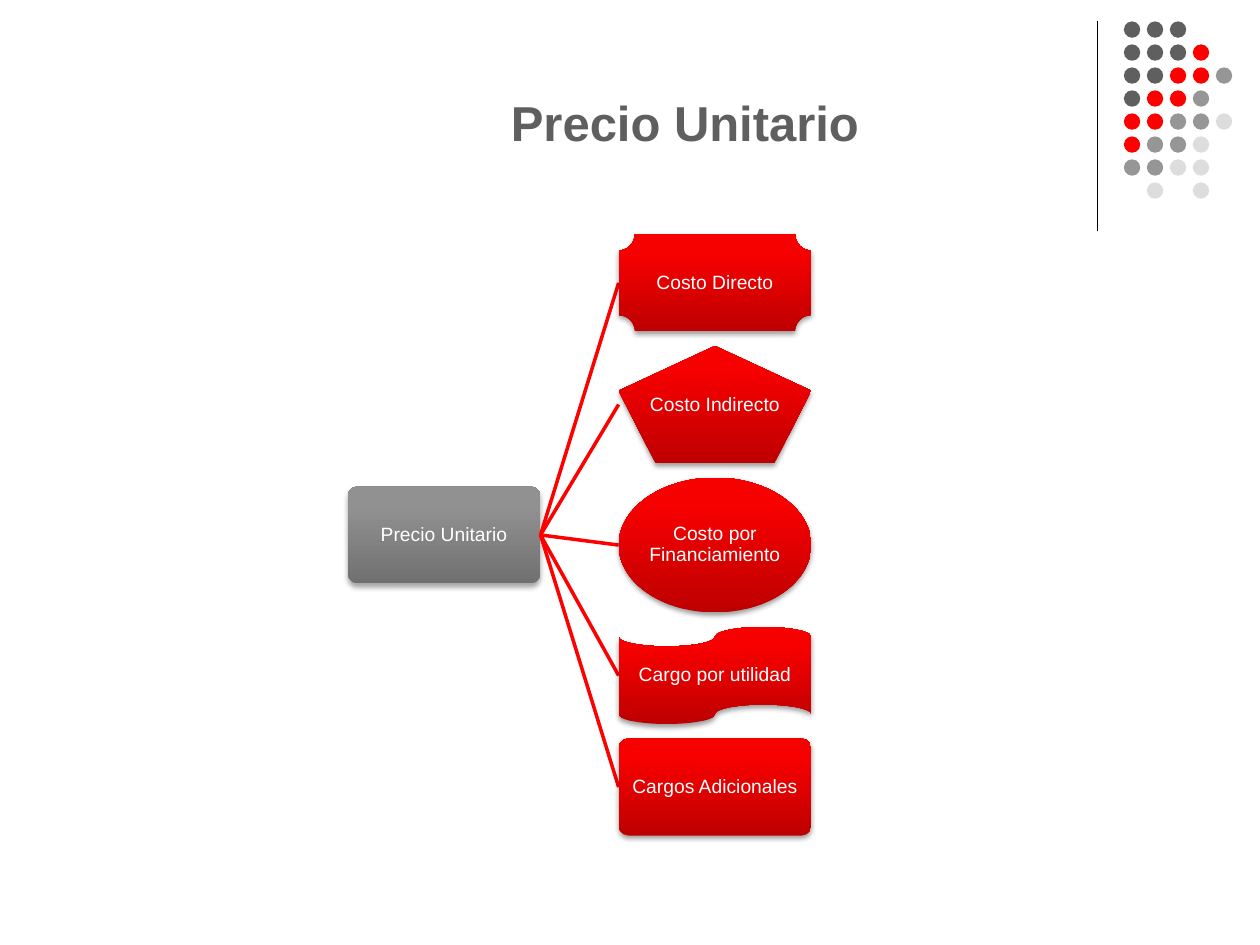
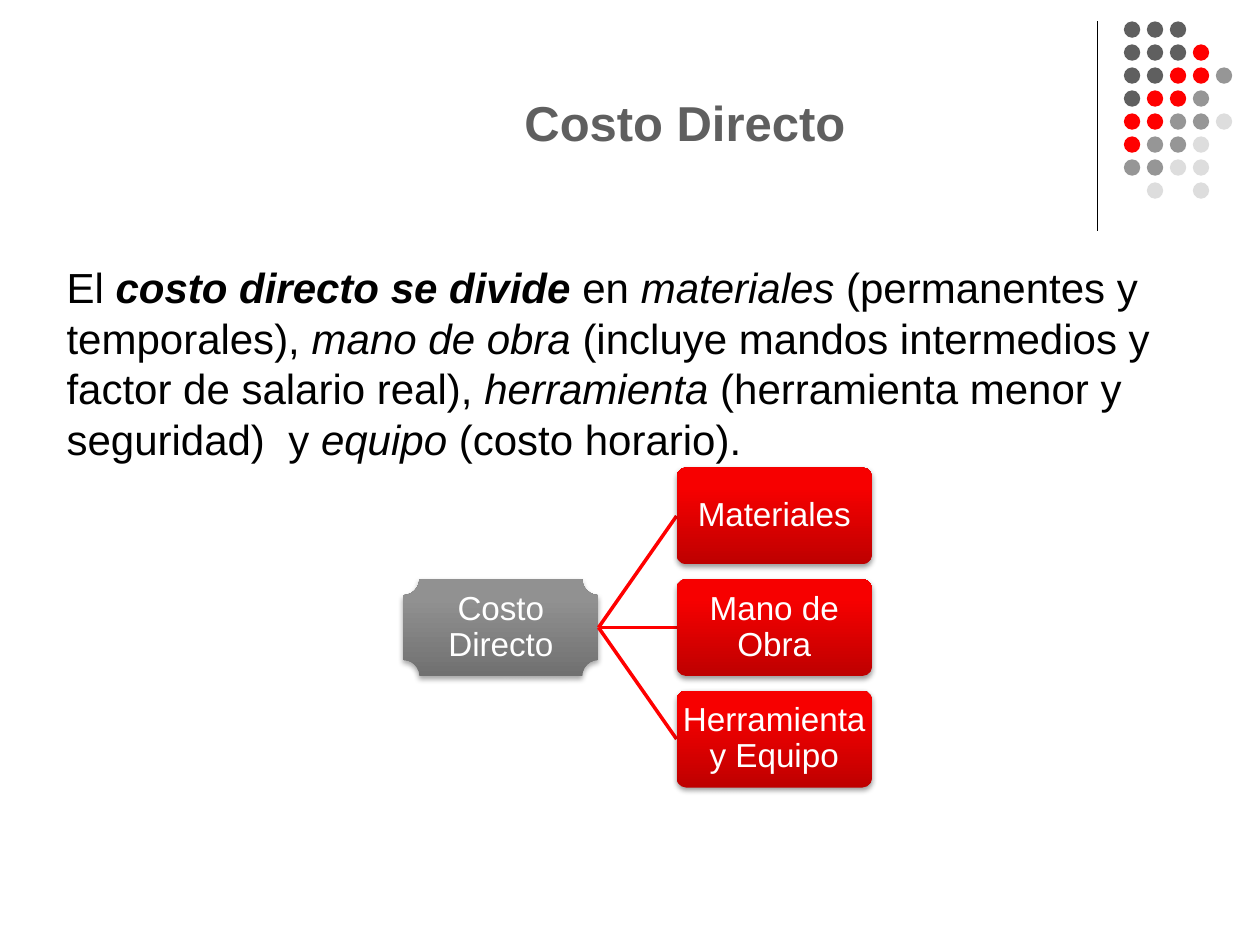
"""Build two slides that break a unit price down into its cost components."""
from dataclasses import dataclass

from lxml import etree
from pptx import Presentation
from pptx import util as u
from pptx.dml.color import RGBColor
from pptx.enum import shapes, text
from pptx.oxml.ns import qn


@dataclass(frozen=True)
class Theme:
    font: str = "Arial"
    black: str = "000000"
    white: str = "FFFFFF"
    dark: str = "5F5F5F"
    red: str = "FF0000"
    gray: str = "969696"
    pale: str = "DDDDDD"
    root_gradient: tuple = ("707070", "919191")
    branch_gradient: tuple = ("BE0000", "F70000")
    title_size: int = 28
    body_size: int = 24
    rule_width: float = 0.75
    link_width: int = 2


@dataclass(frozen=True)
class Node:
    label: str
    kind: shapes.MSO_SHAPE = shapes.MSO_SHAPE.ROUNDED_RECTANGLE
    height: float = 0.77
    wrap: bool = True
    bottom_inset: float = 0.01
    glued: bool = True


THEME = Theme()
NODE_HEIGHT = 0.77
NODE_GAP = 0.15 * NODE_HEIGHT
LINK_SPAN = 0.62
DOT_SIZE = 0.13
DOT_PITCH = 0.73 / 4
DOT_COLORS = {"D": THEME.dark, "R": THEME.red, "G": THEME.gray, "P": THEME.pale}
DOT_ROWS = ("DDD", "DDDR", "DDRRG", "DRRG", "RRGGP", "RGGP", "GGPP", ".P.P")

BODY_RUNS = (
    ("El ", ""),
    ("costo directo se divide", "bi"),
    (" en ", ""),
    ("materiales", "i"),
    (" (permanentes y temporales), ", ""),
    ("mano de obra", "i"),
    (" (incluye mandos intermedios y factor de salario real), ", ""),
    ("herramienta", "i"),
    (" (herramienta menor y seguridad)  y ", ""),
    ("equipo", "i"),
    (" (costo horario).", ""),
)


def style_font(font, size, color, bold=False, italic=False):
    """Apply the theme typeface with a size, colour and emphasis."""
    font.name = THEME.font
    font.size = u.Pt(size)
    font.color.rgb = RGBColor.from_string(color)
    font.bold = bold
    font.italic = italic


def add_line(slide, start, end, color, width):
    """Draw a straight connector without a shadow."""
    points = [u.Inches(value) for value in (*start, *end)]
    line = slide.shapes.add_connector(shapes.MSO_CONNECTOR.STRAIGHT, *points)
    line.line.color.rgb = RGBColor.from_string(color)
    line.line.width = u.Pt(width)
    etree.SubElement(line._element.spPr, qn("a:effectLst"))
    return line


def add_dot_pattern(slide):
    """Draw the coloured dots of the top right corner."""
    for row, marks in enumerate(DOT_ROWS):
        for column, mark in enumerate(marks):
            if mark not in DOT_COLORS:
                continue
            dot = slide.shapes.add_shape(
                shapes.MSO_SHAPE.OVAL,
                u.Inches(8.92 + column * DOT_PITCH),
                u.Inches(0.17 + row * DOT_PITCH),
                u.Inches(DOT_SIZE),
                u.Inches(DOT_SIZE),
            )
            dot.shadow.inherit = False
            dot.fill.solid()
            dot.fill.fore_color.rgb = RGBColor.from_string(DOT_COLORS[mark])
            dot.line.fill.background()


def add_text_box(slide, left, top, width, height):
    """Add a wrapping text box and return its text frame."""
    box = slide.shapes.add_textbox(*map(u.Inches, (left, top, width, height)))
    box.text_frame.word_wrap = True
    return box.text_frame


def add_title(slide, title):
    """Add the centred slide title."""
    frame = add_text_box(slide, 2.24, 0.13, 6.39, 1.67)
    frame.vertical_anchor = text.MSO_ANCHOR.MIDDLE
    frame.text = title
    paragraph = frame.paragraphs[0]
    paragraph.alignment = text.PP_ALIGN.CENTER
    style_font(paragraph.runs[0].font, THEME.title_size, THEME.dark, bold=True)


def add_body(slide, runs):
    """Add the body paragraph with emphasised terms."""
    frame = add_text_box(slide, 0.43, 2.03, 9.18, 1.72)
    paragraph = frame.paragraphs[0]
    for words, emphasis in runs:
        run = paragraph.add_run()
        run.text = words
        style_font(run.font, THEME.body_size, THEME.black,
                   bold="b" in emphasis, italic="i" in emphasis)


def add_soft_shadow(shape, distance, opacity):
    """Give a shape a soft shadow that falls straight down."""
    shape.shadow.inherit = False
    effects = shape._element.spPr.find(qn("a:effectLst"))
    shadow = etree.SubElement(
        effects, qn("a:outerShdw"), blurRad=str(u.Pt(3.1)),
        dist=str(u.Pt(distance)), dir="5400000", rotWithShape="0")
    color = etree.SubElement(shadow, qn("a:srgbClr"), val=THEME.black)
    etree.SubElement(color, qn("a:alpha"), val=str(opacity * 1000))


def add_node(slide, node, left, top, width, size, gradient):
    """Add a labelled diagram node with a vertical gradient."""
    shape = slide.shapes.add_shape(
        node.kind, *map(u.Inches, (left, top, width, node.height)))
    if node.kind == shapes.MSO_SHAPE.ROUNDED_RECTANGLE:
        shape.adjustments[0] = 0.1
    shape.fill.gradient()
    shape.fill.gradient_angle = 90
    for stop, color, position in zip(shape.fill.gradient_stops, gradient, (0, 0.8)):
        stop.color.rgb = RGBColor.from_string(color)
        stop.position = position
    shape.line.fill.background()

    frame = shape.text_frame
    frame.word_wrap = node.wrap
    frame.vertical_anchor = text.MSO_ANCHOR.MIDDLE
    frame.margin_left = frame.margin_right = frame.margin_top = u.Inches(0.01)
    frame.margin_bottom = u.Inches(node.bottom_inset)
    frame.text = node.label
    paragraph = frame.paragraphs[0]
    paragraph.alignment = text.PP_ALIGN.CENTER
    paragraph.line_spacing = 0.9
    style_font(paragraph.runs[0].font, size, THEME.white)
    return shape


def add_tree(slide, root, branches, left, top, width, size):
    """Add a root node linked to a column of evenly spaced branches."""
    column_height = sum(node.height for node in branches) + NODE_GAP * (len(branches) - 1)
    root_middle = top + column_height / 2
    root_shape = add_node(slide, root, left, root_middle - root.height / 2,
                          width, size, THEME.root_gradient)
    add_soft_shadow(root_shape, 1.8, 35)
    branch_left = left + width + LINK_SPAN
    for node in branches:
        link = add_line(slide, (left + width, root_middle),
                        (branch_left, top + node.height / 2),
                        THEME.red, THEME.link_width)
        branch = add_node(slide, node, branch_left, top, width, size,
                          THEME.branch_gradient)
        add_soft_shadow(branch, 1.6, 38)
        link.begin_connect(root_shape, 3)
        if node.glued:
            link.end_connect(branch, 1)
        top += node.height + NODE_GAP


def add_slide(presentation, title):
    """Add a blank slide with the shared decoration and title."""
    slide = presentation.slides.add_slide(presentation.slide_layouts[6])
    add_line(slide, (8.71, 0.17), (8.71, 1.83), THEME.black, THEME.rule_width)
    add_dot_pattern(slide)
    add_title(slide, title)
    return slide


def main():
    """Build and save the presentation."""
    presentation = Presentation()
    presentation.slide_width = u.Inches(10)
    presentation.slide_height = u.Inches(7.5)
    kinds = shapes.MSO_SHAPE

    unit_price = add_slide(presentation, "Precio Unitario")
    price_parts = (
        Node("Costo Directo", kinds.PLAQUE),
        Node("Costo Indirecto", kinds.REGULAR_PENTAGON, height=0.93,
             wrap=False, bottom_inset=0.22, glued=False),
        Node("Costo por Financiamiento", kinds.OVAL, height=1.07, glued=False),
        Node("Cargo por utilidad", kinds.FLOWCHART_PUNCHED_TAPE),
        Node("Cargos Adicionales"),
    )
    add_tree(unit_price, Node("Precio Unitario"), price_parts,
             left=2.76, top=1.86, width=1.53, size=11)

    direct_cost = add_slide(presentation, "Costo Directo")
    add_body(direct_cost, BODY_RUNS)
    cost_parts = [Node(label) for label in
                  ("Materiales", "Mano de Obra", "Herramienta y Equipo")]
    add_tree(direct_cost, Node("Costo Directo", kinds.PLAQUE), cost_parts,
             left=3.2, top=3.71, width=1.55, size=19)

    presentation.save("out.pptx")


if __name__ == "__main__":
    main()
